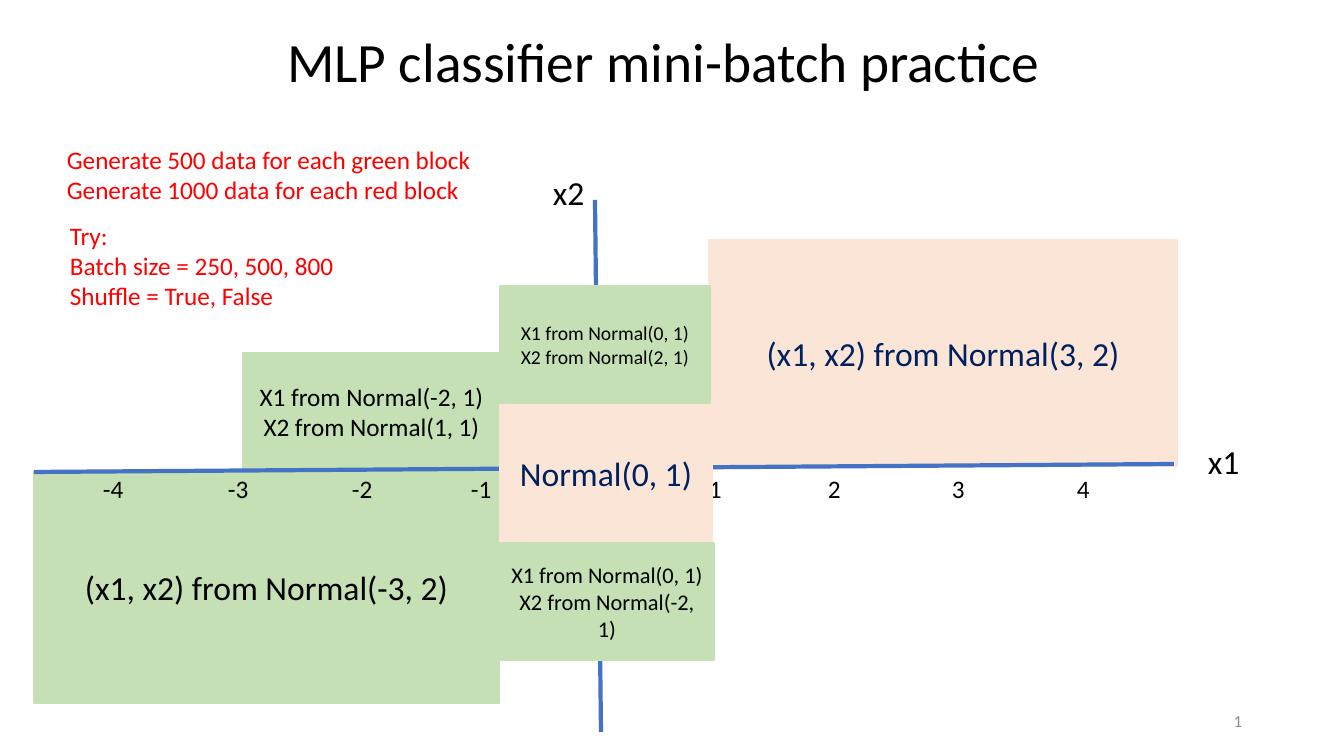
from pptx import Presentation
from pptx.dml.color import RGBColor
from pptx.enum.shapes import MSO_CONNECTOR as Link, MSO_SHAPE as Shape
from pptx.enum.text import MSO_ANCHOR as Anchor, PP_ALIGN as Align
from pptx.oxml.ns import qn
from pptx.util import Emu, Pt
from lxml.etree import SubElement

PX = 914400 / 100.8
BLACK, NAVY, RED, GRAY = "000000", "002060", "FF0000", "8C8C8C"
GREEN, PEACH, BLUE = "C5E0B4", "FBE5D6", "4472C4"

TITLE = "MLP classifier mini-batch practice"
NOTES = [
    ((57, 139, 437, 72), ["Generate 500 data for each green block",
                          "Generate 1000 data for each red block"]),
    ((60, 215, 437, 102), ["Try:", "Batch size = 250, 500, 800",
                           "Shuffle = True, False"]),
]
# box, fill, font colour, font size, lines
BACK = [
    ((34, 472, 465, 231), GREEN, BLACK, 24, ["(x1, x2) from Normal(-3, 2)"]),
    ((709, 240, 468, 226), PEACH, NAVY, 24, ["(x1, x2) from Normal(3, 2)"]),
    ((243, 353, 257, 117), GREEN, BLACK, 18,
     ["X1 from Normal(-2, 1)", "X2 from Normal(1, 1)"]),
]
FRONT = [
    ((500, 404, 212, 139), PEACH, NAVY, 24, ["Normal(0, 1)"]),
    ((500, 543, 214, 117), GREEN, BLACK, 16,
     ["X1 from Normal(0, 1)", "X2 from Normal(-2, 1)"]),
    ((500, 286, 210, 117), GREEN, BLACK, 14,
     ["X1 from Normal(0, 1)", "X2 from Normal(2, 1)"]),
]
AXES = [(34, 472, 1174, 464), (595, 200, 601, 732)]
NAMES = [("x1", (1198, 436, 80, 50)), ("x2", (543, 167, 80, 50))]
MID, TICK_TOP = 580, 468
STEPS = {1: 119, 2: 238, 3: 362, 4: 487}


def px(*nums):
    """Turn pixels into EMU."""
    return [Emu(round(n * PX)) for n in nums]


def color(code):
    """Turn a hex string into a colour."""
    return RGBColor.from_string(code)


def write(frame, lines, size=18, ink=BLACK, align=Align.LEFT,
          anchor=Anchor.TOP, gap=None):
    """Fill a text frame with one paragraph per line."""
    frame.word_wrap = True
    frame.vertical_anchor = anchor
    for i, line in enumerate(lines):
        para = frame.add_paragraph() if i else frame.paragraphs[0]
        para.alignment = align
        if gap:
            para.line_spacing = gap
        run = para.add_run()
        run.text = line
        run.font.name, run.font.size = "Calibri", Pt(size)
        run.font.color.rgb = color(ink)


def label(box, lines, **style):
    """Add a text box."""
    write(slide.shapes.add_textbox(*px(*box)).text_frame, lines, **style)


def block(box, fill, ink, size, lines):
    """Add a filled data block with centred text."""
    rect = slide.shapes.add_shape(Shape.RECTANGLE, *px(*box))
    rect.shadow.inherit = False
    rect.fill.solid()
    rect.fill.fore_color.rgb = rect.line.color.rgb = color(fill)
    rect.line.width = Pt(1)
    write(rect.text_frame, lines, size=size, ink=ink,
          align=Align.CENTER, anchor=Anchor.MIDDLE)


def axis(ends):
    """Add an axis line."""
    line = slide.shapes.add_connector(Link.STRAIGHT, *px(*ends))
    line.line.color.rgb = color(BLUE)
    line.line.width = Pt(3)
    SubElement(line._element.spPr, qn("a:effectLst"))


deck = Presentation()
deck.slide_width, deck.slide_height = px(1344, 756)
slide = deck.slides.add_slide(deck.slide_layouts[6])

label((84, 28, 1159, 73), [TITLE], size=39.6, align=Align.CENTER,
      anchor=Anchor.MIDDLE, gap=0.9)
label((950, 701, 302, 40), ["1"], size=12, ink=GRAY, align=Align.RIGHT,
      anchor=Anchor.MIDDLE)
for item in BACK:
    block(*item)
for ends in AXES:
    axis(ends)
for name, box in NAMES:
    label(box, [name], size=24)
for step, off in STEPS.items():
    for sign in (-1, 1):
        label((MID + sign * off, TICK_TOP, 47, 40), [str(sign * step)])
for item in FRONT:
    block(*item)
for box, lines in NOTES:
    label(box, lines, ink=RED)

deck.save("out.pptx")
